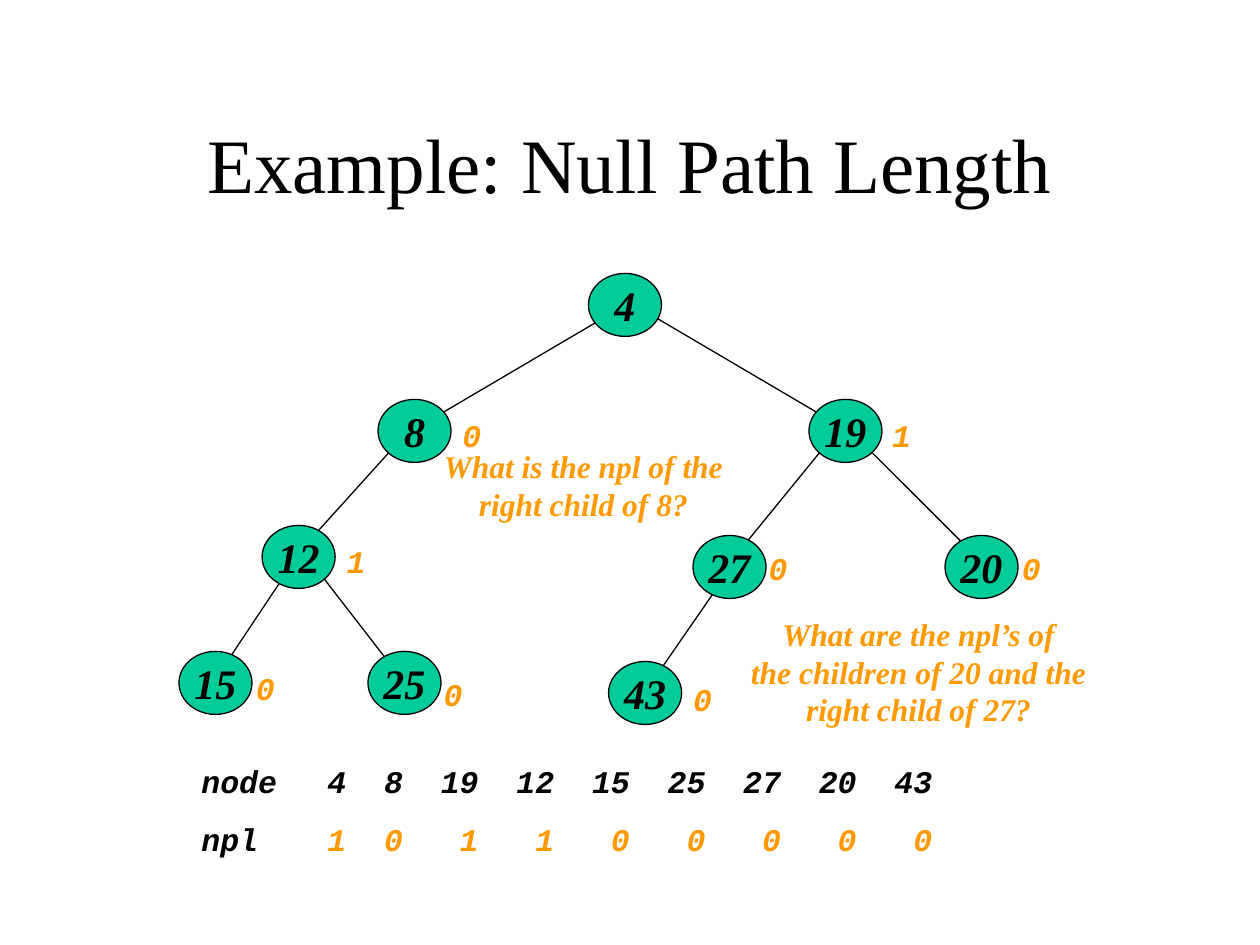
from lxml.etree import SubElement
from pptx import Presentation
from pptx.dml.color import RGBColor
from pptx.enum.shapes import MSO_CONNECTOR, MSO_SHAPE
from pptx.enum.text import MSO_ANCHOR, PP_ALIGN
from pptx.oxml.ns import qn
from pptx.util import Inches, Pt

BLACK, GREEN, ORANGE = "000000", "00CC99", "FF9900"
SERIF, MONO = "Times New Roman", "Courier New"


def color(hex_value):
    return RGBColor.from_string(hex_value)


def format_text(part, size, name, hex_value, emphasis=True):
    """Format the font of a paragraph or a run."""
    values = {"size": Pt(size), "name": name, "bold": emphasis, "italic": emphasis}
    for attribute, value in values.items():
        setattr(part.font, attribute, value)
    part.font.color.rgb = color(hex_value)


presentation = Presentation()
presentation.slide_width, presentation.slide_height = Inches(10), Inches(7.5)
slide = presentation.slides.add_slide(presentation.slide_layouts[5])
shapes = slide.shapes

# Title
title = shapes.title
title.left, title.top = Inches(0.75), Inches(0.67)
title.width, title.height = Inches(8.5), Inches(1.25)
title.text_frame.text = "Example: Null Path Length"
title.text_frame.vertical_anchor = MSO_ANCHOR.MIDDLE
heading = title.text_frame.paragraphs[0]
heading.alignment = PP_ALIGN.CENTER
format_text(heading, 44, SERIF, BLACK, emphasis=False)

# Tree edges, with their ends tucked under the nodes
edges = [
    (3.42, 3.33, 4.83, 2.5),    # 8 - 4
    (5.17, 2.5, 6.58, 3.33),    # 4 - 19
    (3.17, 3.5, 2.42, 4.33),    # 8 - 12
    (2.5, 4.5, 3.08, 5.25),     # 12 - 25
    (2.25, 4.58, 1.75, 5.33),   # 12 - 15
    (5.75, 4.58, 5.17, 5.42),   # 27 - 43
    (6.58, 3.5, 5.83, 4.42),    # 19 - 27
    (6.83, 3.5, 7.75, 4.42),    # 19 - 20
]
for ends in edges:
    edge = shapes.add_connector(MSO_CONNECTOR.STRAIGHT, *map(Inches, ends))
    edge.line.color.rgb = color(BLACK)
    edge.line.width = Pt(0.75)
    SubElement(edge._element.spPr, qn("a:effectLst"))

# Tree nodes: key, npl, node position, npl label position
nodes = [
    (4, 1, (4.67, 2.17), None),
    (8, 0, (3, 3.17), (3.57, 3.25)),
    (19, 1, (6.42, 3.17), (6.98, 3.25)),
    (12, 1, (2.08, 4.17), (2.65, 4.25)),
    (15, 0, (1.42, 5.17), (1.93, 5.26)),
    (25, 0, (2.92, 5.17), (3.42, 5.31)),
    (27, 0, (5.5, 4.25), (6, 4.31)),
    (20, 0, (7.5, 4.25), (8.01, 4.31)),
    (43, 0, (4.83, 5.25), (5.4, 5.35)),
]
for key, npl, node_at, npl_at in nodes:
    node = shapes.add_shape(MSO_SHAPE.OVAL, *map(Inches, (*node_at, 0.58, 0.5)))
    node.shadow.inherit = False
    node.fill.solid()
    node.fill.fore_color.rgb = color(GREEN)
    node.line.color.rgb = color(BLACK)
    node.line.width = Pt(0.75)
    node.text_frame.word_wrap = False
    node.text_frame.vertical_anchor = MSO_ANCHOR.MIDDLE
    node.text_frame.text = str(key)
    node_key = node.text_frame.paragraphs[0]
    node_key.alignment = PP_ALIGN.CENTER
    format_text(node_key, 24, SERIF, BLACK)

    if npl_at:
        npl_label = shapes.add_textbox(*map(Inches, (*npl_at, 0.35, 0.4)))
        npl_label.text_frame.word_wrap = False
        npl_label.text_frame.text = str(npl)
        npl_value = npl_label.text_frame.paragraphs[0]
        npl_value.alignment = PP_ALIGN.CENTER
        format_text(npl_value, 18, MONO, ORANGE)

# Summary of nodes and npl values, right-aligned on shared tab stops
summary = shapes.add_textbox(*map(Inches, (1.5, 6, 6.25, 0.86))).text_frame
summary.word_wrap = True
column_ends = [1.15] + [1.6 + 0.6 * column for column in range(len(nodes) - 1)]
summary_rows = [
    ("node", [key for key, *_ in nodes], BLACK),
    ("npl", [npl for _, npl, *_ in nodes], ORANGE),
]
for index, (row_name, row_values, value_color) in enumerate(summary_rows):
    row = summary.add_paragraph() if index else summary.paragraphs[0]
    if index:
        row.space_before = Pt(11.2)
    tab_stops = SubElement(row._p.get_or_add_pPr(), qn("a:tabLst"))
    for column_end in column_ends:
        SubElement(tab_stops, qn("a:tab"), pos=str(Inches(column_end)), algn="r")
    values_text = "".join(f"\t{value}" for value in row_values)
    for text, text_color in ((row_name, BLACK), (values_text, value_color)):
        run = row.add_run()
        run.text = text
        format_text(run, 18, MONO, text_color)

# Questions
questions = [
    ("What are the npl’s of\vthe children of 20 and the right child of 27?",
     (5.83, 4.83, 2.92, 1)),
    ("What is the npl of the right child of 8?", (3.17, 3.5, 2.92, 0.7)),
]
for question_text, question_box in questions:
    question = shapes.add_textbox(*map(Inches, question_box)).text_frame
    question.word_wrap = True
    question.text = question_text
    question.paragraphs[0].alignment = PP_ALIGN.CENTER
    format_text(question.paragraphs[0], 18, SERIF, ORANGE)

presentation.save("out.pptx")
